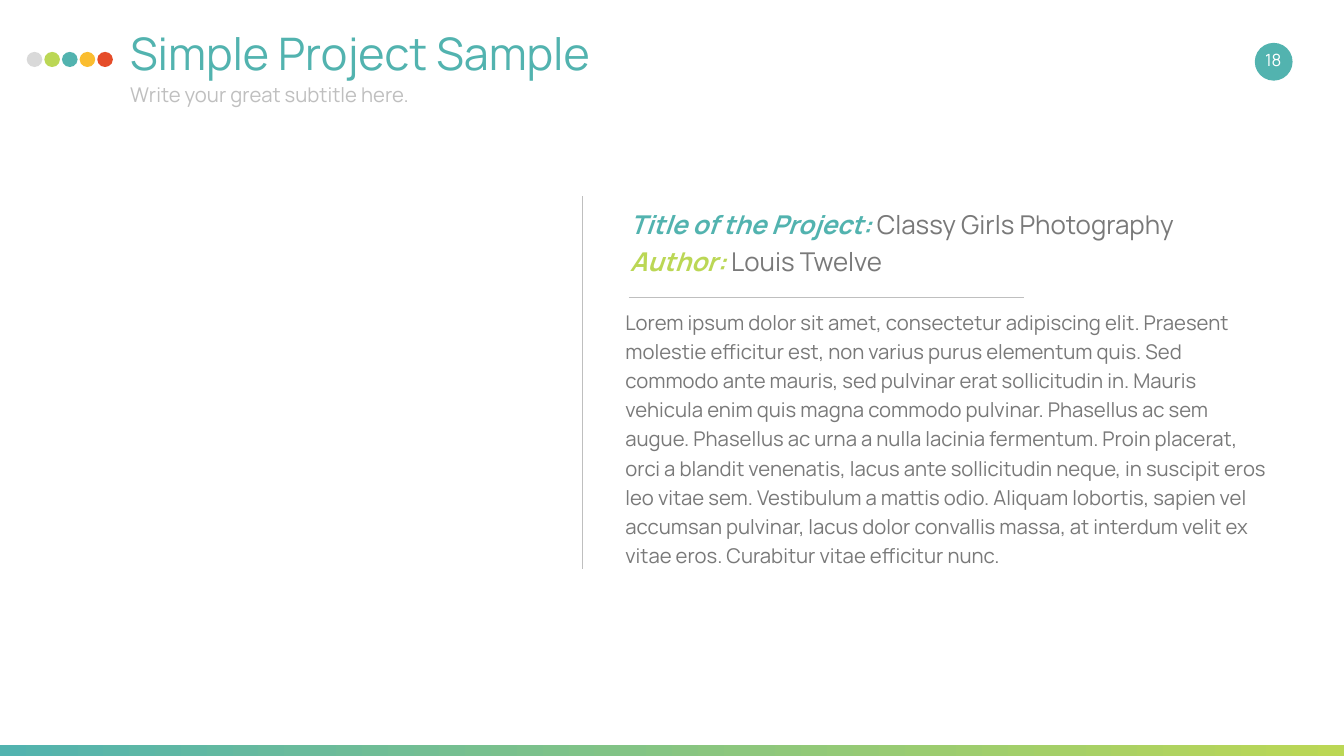
from pptx import Presentation
from pptx import util as u
from pptx.dml.color import RGBColor
from pptx.enum import shapes, text
from pptx.oxml import ns, xmlchemy as xml

TEAL = RGBColor(0x52, 0xB3, 0xAF)
LIME = RGBColor(0xBB, 0xD7, 0x55)
AMBER = RGBColor(0xFA, 0xBD, 0x30)
RED = RGBColor(0xE5, 0x4C, 0x29)
PALE = RGBColor(0xD9, 0xD9, 0xD9)
SILVER = RGBColor(0xBF, 0xBF, 0xBF)
GREY = RGBColor(0x79, 0x79, 0x79)
WHITE = RGBColor(0xFF, 0xFF, 0xFF)

PX = 9144  # 100 px to the inch
FONT = "Manrope"
LOREM = (
    "Lorem ipsum dolor sit amet, consectetur adipiscing elit. Praesent "
    "molestie efficitur est, non varius purus elementum quis. Sed commodo "
    "ante mauris, sed pulvinar erat sollicitudin in. Mauris vehicula enim "
    "quis magna commodo pulvinar. Phasellus ac sem augue. Phasellus ac urna "
    "a nulla lacinia fermentum. Proin placerat, orci a blandit venenatis, "
    "lacus ante sollicitudin neque, in suscipit eros leo vitae sem. "
    "Vestibulum a mattis odio. Aliquam lobortis, sapien vel accumsan "
    "pulvinar, lacus dolor convallis massa, at interdum velit ex vitae eros. "
    "Curabitur vitae efficitur nunc."
)

deck = Presentation()
deck.slide_width, deck.slide_height = 2667 * PX, 1500 * PX
slide = deck.slides.add_slide(deck.slide_layouts[1])


def add_form(kind, box, color=None):
    form = slide.shapes.add_shape(kind, *[n * PX for n in box])
    form.shadow.inherit = False
    form.line.fill.background()
    if color is not None:
        form.fill.solid()
        form.fill.fore_color.rgb = color
    return form


def fill_text(shape, box, lines, size, align=text.PP_ALIGN.LEFT,
              anchor=text.MSO_ANCHOR.TOP, lead=1.0,
              fit=text.MSO_AUTO_SIZE.NONE):
    """Each line is a list of (words, colour, strong) runs."""
    shape.left, shape.top, shape.width, shape.height = [n * PX for n in box]
    frame = shape.text_frame
    look = {"word_wrap": True, "auto_size": fit, "vertical_anchor": anchor,
            "margin_left": 27 * PX, "margin_right": 27 * PX,
            "margin_top": 13 * PX, "margin_bottom": 13 * PX}
    for name, value in look.items():
        setattr(frame, name, value)
    for i, line in enumerate(lines):
        para = frame.add_paragraph() if i else frame.paragraphs[0]
        para.alignment, para.line_spacing = align, lead
        para.space_before = u.Pt(0)
        for words, color, strong in line:
            run = para.add_run()
            run.text = words
            style = {"name": FONT, "size": u.Pt(size),
                     "bold": strong, "italic": strong}
            for name, value in style.items():
                setattr(run.font, name, value)
            run.font.color.rgb = color


# Gradient bar along the foot
bar = add_form(shapes.MSO_SHAPE.RECTANGLE, (0, 1479, 2667, 21))
bar.fill.gradient()
bar.fill.gradient_angle = 0
for stop, color in zip(bar.fill.gradient_stops, (TEAL, LIME)):
    stop.color.rgb = color

# Row of dots
for i, color in enumerate((PALE, LIME, TEAL, AMBER, RED)):
    add_form(shapes.MSO_SHAPE.OVAL, (53 + 35 * i, 103, 31, 30), color)

# Title and subtitle
title, sub = slide.shapes.title, slide.placeholders[1]
fill_text(title, (231, 37, 2125, 160),
          [[("Simple Project Sample", TEAL, False)]], 64)
fill_text(sub, (231, 150, 2125, 85),
          [[("Write your great subtitle here.", SILVER, False)]], 29)
props = sub.text_frame.paragraphs[0]._p.get_or_add_pPr()
props.set("marL", "0")
props.set("indent", "0")
props.append(xml.OxmlElement("a:buNone"))

# Page number badge
add_form(shapes.MSO_SHAPE.OVAL, (2490, 85, 75, 75), TEAL)
page = slide.shapes.add_textbox(0, 0, 0, 0)
fill_text(page, (2468, 78, 117, 80), [[("18", WHITE, False)]], 24,
          align=text.PP_ALIGN.CENTER, anchor=text.MSO_ANCHOR.MIDDLE)

# Project details
grow = {"lead": 1.2, "fit": text.MSO_AUTO_SIZE.SHAPE_TO_FIT_TEXT}
about = slide.shapes.add_textbox(0, 0, 0, 0)
fill_text(about, (1214, 592, 1334, 552), [[(LOREM, GREY, False)]], 29, **grow)
facts = slide.shapes.add_textbox(0, 0, 0, 0)
fill_text(facts, (1223, 389, 1324, 176), [
    [("Title of the Project: ", TEAL, True),
     ("Classy Girls Photography", GREY, False)],
    [("Author: ", LIME, True), ("Louis Twelve", GREY, False)],
], 37, **grow)

# Rules
for ends in ((1248, 589, 2033, 589), (1156, 1128, 1156, 389)):
    rule = slide.shapes.add_connector(
        shapes.MSO_CONNECTOR.STRAIGHT, *[n * PX for n in ends])
    rule.line.color.rgb = SILVER
    rule.line.width = u.Pt(0.25)
    rule._element.find(ns.qn("p:spPr")).append(xml.OxmlElement("a:effectLst"))

deck.save("out.pptx")
